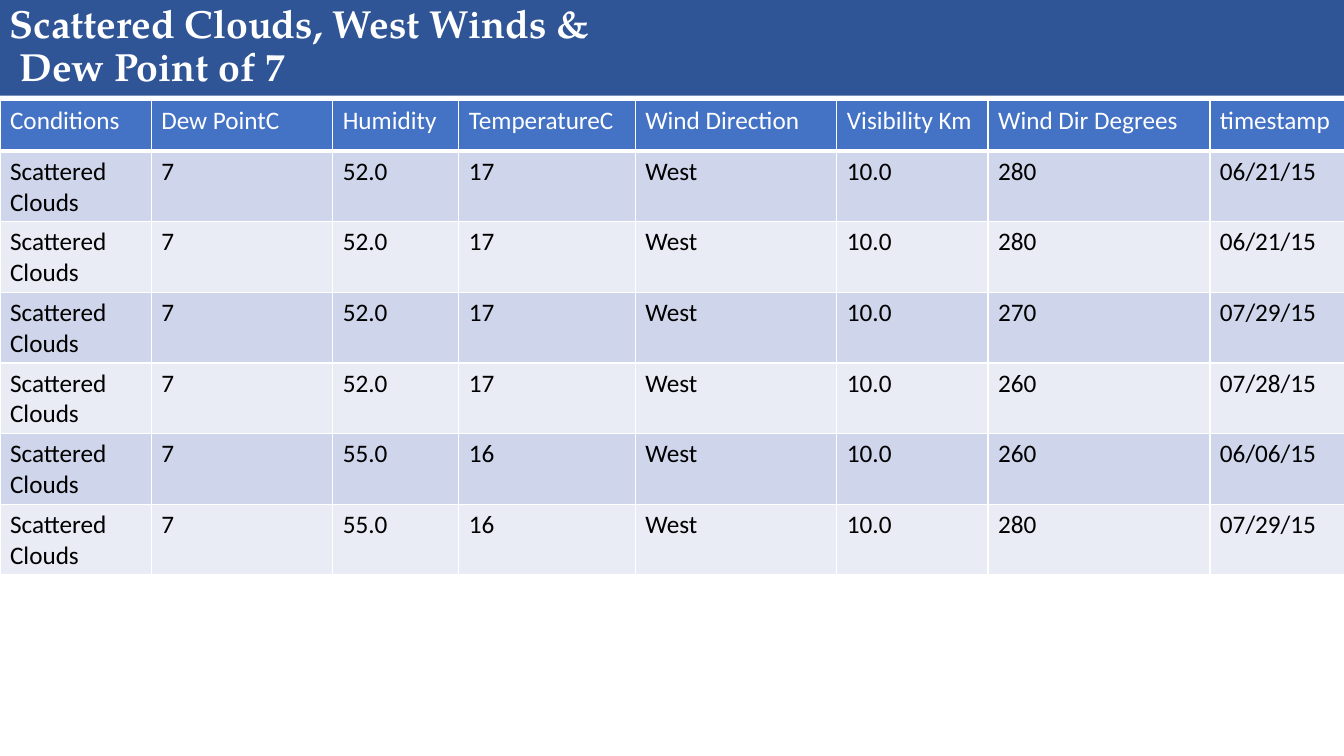
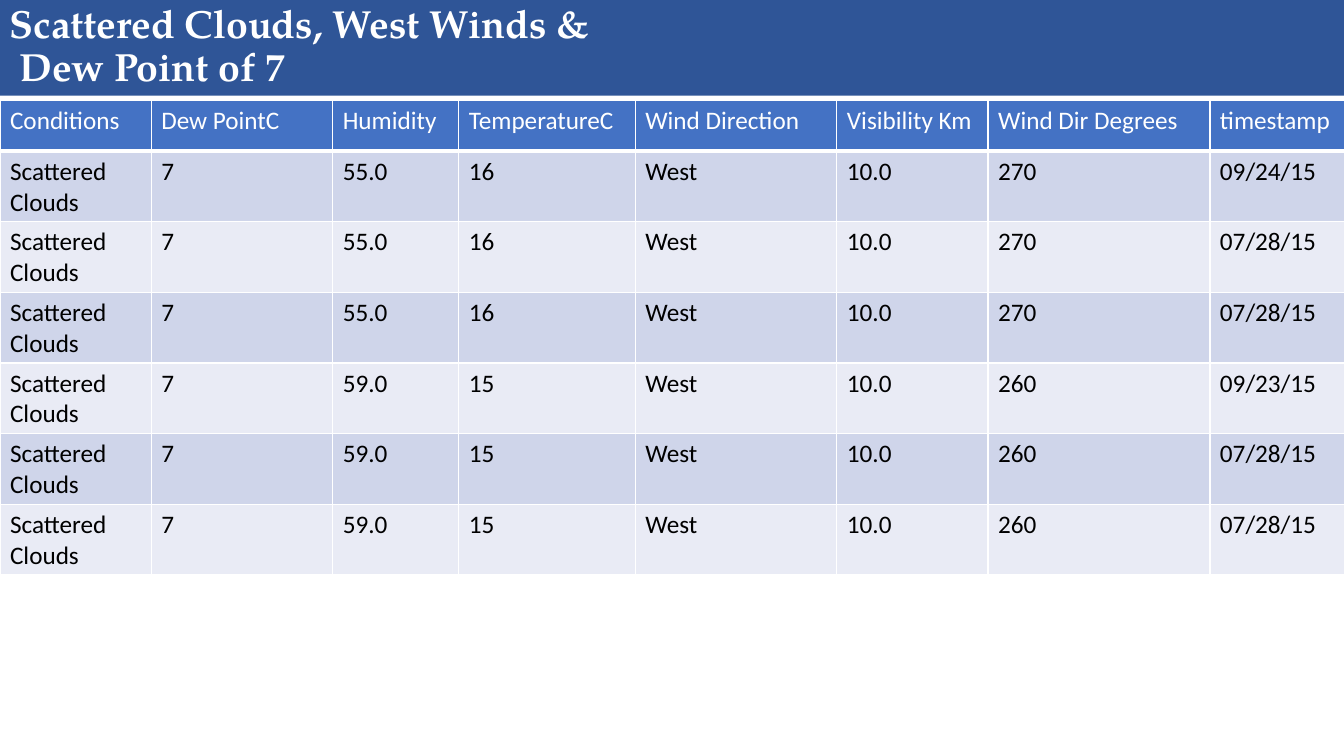
from dataclasses import dataclass

from lxml.etree import SubElement
from pptx import Presentation
from pptx.dml.color import RGBColor
from pptx.enum.shapes import MSO_SHAPE as Preset
from pptx.enum.text import MSO_ANCHOR as Anchor
from pptx.oxml.ns import qn
from pptx.util import Inches, Pt


@dataclass(frozen=True)
class Theme:
    """Colours, fonts and type sizes shared by the slides."""
    band: str = "2F5597"
    header: str = "4472C4"
    stripes: tuple = ("CFD5EA", "E9EBF5")
    light: str = "FFFFFF"
    dark: str = "000000"
    title_font: str = "TeX Gyre Pagella"
    body_font: str = "Calibri"
    title_size: int = 28
    body_size: int = 18
    rule: int = 1
    header_rule: int = 3


THEME = Theme()
SLIDE_WIDTH, SLIDE_HEIGHT = 13.33, 7.5
ROW_HEIGHT = 0.5
TITLE = "Scattered Clouds, West Winds &\n Dew Point of 7"
COLUMNS = {
    "Conditions": 1.5, "Dew PointC": 1.8, "Humidity": 1.25, "TemperatureC": 1.75,
    "Wind Direction": 2, "Visibility Km": 1.5, "Wind Dir Degrees": 2.2, "timestamp": 1.35,
}
# Each reading: humidity, temperature, wind degrees, date
READINGS = [
    [
        ("52.0", "17", "280", "06/21/15"),
        ("52.0", "17", "280", "06/21/15"),
        ("52.0", "17", "270", "07/29/15"),
        ("52.0", "17", "260", "07/28/15"),
        ("55.0", "16", "260", "06/06/15"),
        ("55.0", "16", "280", "07/29/15"),
    ],
    [
        ("55.0", "16", "270", "09/24/15"),
        ("55.0", "16", "270", "07/28/15"),
        ("55.0", "16", "270", "07/28/15"),
        ("59.0", "15", "260", "09/23/15"),
        ("59.0", "15", "260", "07/28/15"),
        ("59.0", "15", "260", "07/28/15"),
    ],
]


def style_text(frame, font, size, colour, bold=False):
    """Format every run of a text frame."""
    for para in frame.paragraphs:
        for span in para.runs:
            span.font.name = font
            span.font.size = Pt(size)
            span.font.bold = bold
            span.font.color.rgb = RGBColor.from_string(colour)


def add_band(page):
    """Draw the coloured band behind the title."""
    band = page.shapes.add_shape(
        Preset.RECTANGLE, 0, 0, Inches(SLIDE_WIDTH), Inches(0.95))
    band.shadow.inherit = False
    band.fill.solid()
    band.fill.fore_color.rgb = RGBColor.from_string(THEME.band)
    band.line.fill.background()


def add_title(page, text):
    """Write the slide title over the band."""
    box = page.shapes.add_textbox(0, Inches(-0.02), Inches(SLIDE_WIDTH), Inches(0.98))
    frame = box.text_frame
    frame.word_wrap = True
    frame.vertical_anchor = Anchor.MIDDLE
    frame.text = text
    for para in frame.paragraphs:
        para.line_spacing = 0.9
    style_text(frame, THEME.title_font, THEME.title_size, THEME.light, bold=True)


def add_borders(cell, bottom):
    """Rule all four sides of a cell, with its own weight at the bottom."""
    properties = cell._tc.get_or_add_tcPr()
    for side in ("lnL", "lnR", "lnT", "lnB"):
        weight = bottom if side == "lnB" else THEME.rule
        line = SubElement(properties, qn(f"a:{side}"), w=str(Pt(weight)))
        fill = SubElement(line, qn("a:solidFill"))
        SubElement(fill, qn("a:srgbClr"), val=THEME.light)


def fill_cell(cell, text, fill, colour, bottom):
    """Set the text, borders and fill of one cell."""
    cell.text = text
    style_text(cell.text_frame, THEME.body_font, THEME.body_size, colour)
    add_borders(cell, bottom)
    cell.fill.solid()
    cell.fill.fore_color.rgb = RGBColor.from_string(fill)


def add_weather_table(page, readings):
    """Add the striped table of readings below the title."""
    rows = [tuple(COLUMNS)] + [
        ("Scattered Clouds", "7", humidity, temperature, "West", "10.0", degrees, date)
        for humidity, temperature, degrees, date in readings]
    table = page.shapes.add_table(
        len(rows), len(COLUMNS), 0, Inches(1),
        Inches(sum(COLUMNS.values())), Inches(ROW_HEIGHT * len(rows))).table
    for column, width in zip(table.columns, COLUMNS.values()):
        column.width = Inches(width)
    for row_index, values in enumerate(rows):
        if row_index == 0:
            look = (THEME.header, THEME.light, THEME.header_rule)
        else:
            look = (THEME.stripes[(row_index - 1) % 2], THEME.dark, THEME.rule)
        for column_index, value in enumerate(values):
            fill_cell(table.cell(row_index, column_index), value, *look)


def main():
    """Build one slide for each group of readings."""
    deck = Presentation()
    deck.slide_width = Inches(SLIDE_WIDTH)
    deck.slide_height = Inches(SLIDE_HEIGHT)
    blank = deck.slide_layouts[6]
    for readings in READINGS:
        page = deck.slides.add_slide(blank)
        add_band(page)
        add_title(page, TITLE)
        add_weather_table(page, readings)
    deck.save("out.pptx")


main()
